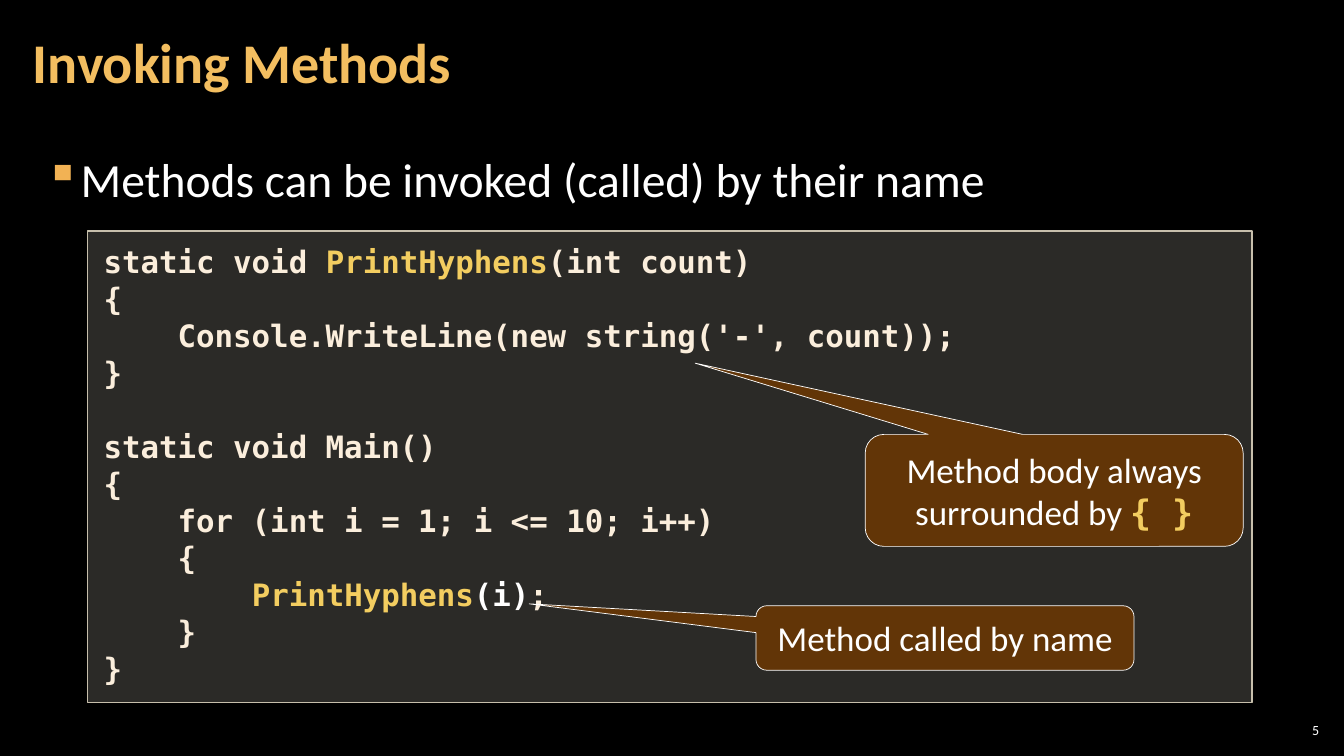
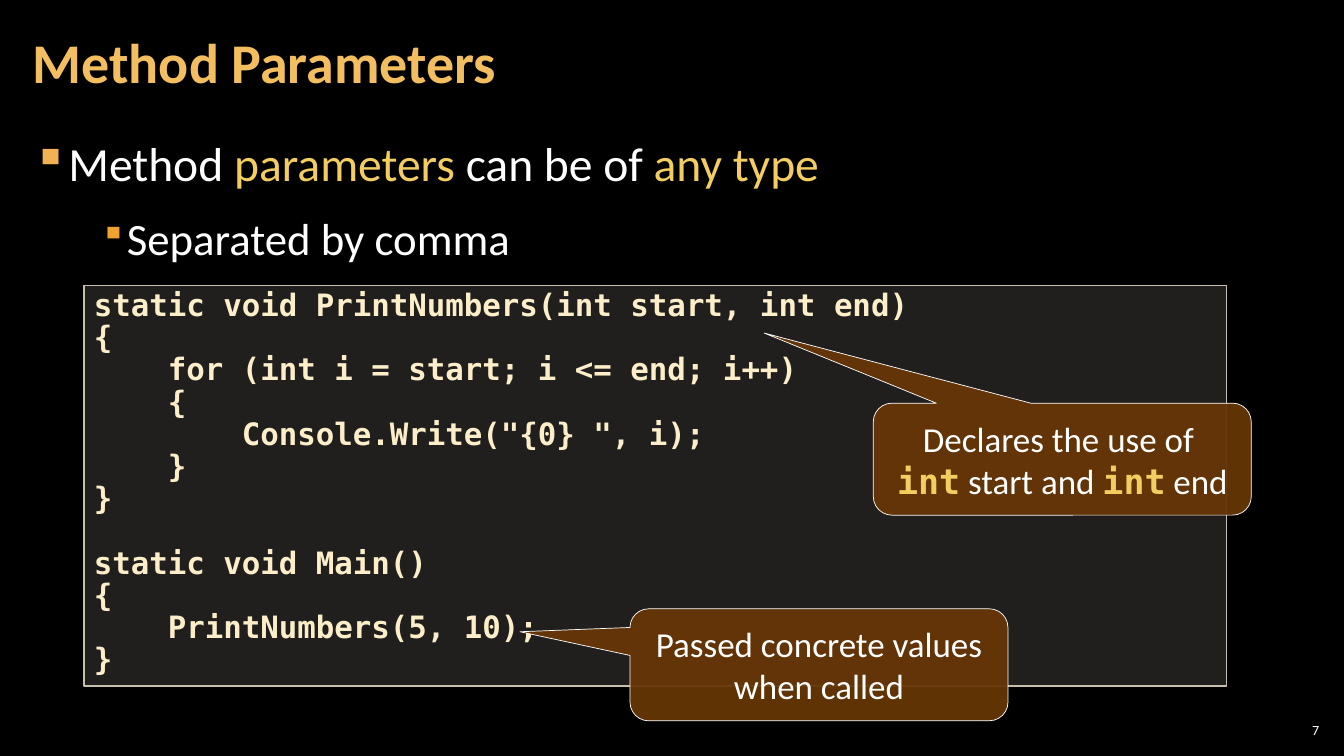
from lxml.etree import SubElement
from pptx import Presentation
from pptx.dml.color import RGBColor
from pptx.enum.shapes import MSO_SHAPE
from pptx.enum.text import MSO_ANCHOR, PP_ALIGN
from pptx.oxml.ns import qn
from pptx.util import Pt

BLACK = RGBColor(0x00, 0x00, 0x00)
WHITE = RGBColor(0xFF, 0xFF, 0xFF)
TITLE_GOLD = RGBColor(0xF3, 0xBE, 0x60)
ACCENT = RGBColor(0xF3, 0xCD, 0x60)
BULLET_GOLD = RGBColor(0xF2, 0xB2, 0x54)
BULLET_ORANGE = RGBColor(0xF0, 0xA2, 0x2E)
PANEL = RGBColor(0xD9, 0xD5, 0xC7)
PANEL_LINE = RGBColor(0xC7, 0xBF, 0xAC)
CODE_CREAM = RGBColor(0xFB, 0xEE, 0xDC)
CODE_YELLOW = RGBColor(0xFB, 0xEE, 0xC9)
BROWN = RGBColor(0x66, 0x36, 0x06)
SANS = "Calibri"
MONO = "DejaVu Sans Mono"

# Bullet levels: indent, hanging, text size, bullet colour, bullet size in %
LEVELS = [(24, 24, 34, BULLET_GOLD, 100), (66, 18, 32, BULLET_ORANGE, 80)]

# A line is a list of pieces; a piece is plain text or (text, colour).
# Callouts: left, top, width, height, tip x, tip y, lines
slides = [
    {
        "number": "5",
        "title": "Invoking Methods",
        "bullets_at": (23.8, 102.2, 900, 60),
        "bullets": [["Methods can be invoked (called) by their name"]],
        "panel_at": (62.6, 165, 831.6, 337),
        "panel_opacity": 20,
        "panel_margins": (11.5, 8.6),
        "code_color": CODE_CREAM,
        "code_spacing": None,
        "code": [
            ["static void ", ("PrintHyphens", ACCENT), "(int count)"],
            ["{"],
            ["    Console.WriteLine(new string('-', count));"],
            ["}"],
            [],
            ["static void Main()"],
            ["{"],
            ["    for (int i = 1; i <= 10; i++)"],
            ["    {"],
            ["        ", ("PrintHyphens", ACCENT), ("(i)", WHITE), ";"],
            ["    }"],
            ["}"],
        ],
        "callouts": [
            (618, 310.3, 270, 80, 496.5, 259.4,
             [["Method body always surrounded by ", ("{ }", ACCENT)]]),
            (540, 432.7, 270, 46, 378, 431.3, [["Method called by name"]]),
        ],
    },
    {
        "number": "7",
        "title": "Method Parameters",
        "bullets_at": (15, 90.7, 930, 110),
        "bullets": [
            ["Method ", ("parameters", ACCENT), " can be of ",
             ("any type", ACCENT)],
            ["Separated by comma"],
        ],
        "panel_at": (60, 204, 816, 286),
        "panel_opacity": 15,
        "panel_margins": (7.2, 3.6),
        "code_color": CODE_YELLOW,
        "code_spacing": Pt(23),
        "code": [
            ["static void PrintNumbers(int start, int end)"],
            ["{"],
            ["    for (int i = start; i <= end; i++)"],
            ["    {"],
            ['        Console.Write("{0} ", i);'],
            ["    }"],
            ["}"],
            [],
            ["static void Main()"],
            ["{"],
            ["    PrintNumbers(5, 10);"],
            ["}"],
        ],
        "callouts": [
            (623.8, 288, 270, 80, 545.8, 237.9,
             [["Declares the use of "],
              [("int", ACCENT), " start and ", ("int", ACCENT), " end"]]),
            (450, 434.9, 270, 80, 371.4, 451.3,
             [["Passed concrete values when called"]]),
        ],
    },
]


def write(frame, lines, size, color, font=SANS, accent_font=SANS, bold=False):
    """Write one paragraph per line; coloured pieces use the accent font."""
    frame.word_wrap = True
    for index, line in enumerate(lines):
        paragraph = frame.paragraphs[0] if index == 0 else frame.add_paragraph()
        paragraph.font.size = Pt(size)
        paragraph.font.name = font
        for piece in line:
            text, tint = (piece, color) if isinstance(piece, str) else piece
            accented = tint != color
            run = paragraph.add_run()
            run.text = text
            run.font.size = Pt(size)
            run.font.name = accent_font if accented else font
            run.font.bold = bold or (accented and accent_font == MONO)
            run.font.color.rgb = tint
    return frame.paragraphs


def style(shape, color, opacity, line_color, line_width, margins):
    """Give a shape its translucent fill, outline and text margins."""
    shape.shadow.inherit = False
    shape.fill.solid()
    shape.fill.fore_color.rgb = color
    tint = shape.fill._xPr.find(qn("a:solidFill"))[0]
    SubElement(tint, qn("a:alpha")).set("val", str(opacity * 1000))
    shape.line.color.rgb = line_color
    shape.line.width = Pt(line_width)
    frame = shape.text_frame
    frame.margin_left = frame.margin_right = Pt(margins[0])
    frame.margin_top = frame.margin_bottom = Pt(margins[1])


prs = Presentation()
prs.slide_width, prs.slide_height = Pt(960), Pt(540)
prs.slide_master.background.fill.solid()
prs.slide_master.background.fill.fore_color.rgb = BLACK

for content in slides:
    slide = prs.slides.add_slide(prs.slide_layouts[5])

    # Title
    title = slide.shapes.title
    title.left, title.top, title.width, title.height = map(Pt, (15, 3, 754, 87))
    frame = title.text_frame
    frame.margin_left = frame.margin_right = Pt(8.5)
    frame.margin_top = frame.margin_bottom = Pt(2.8)
    frame.vertical_anchor = MSO_ANCHOR.MIDDLE
    heading = write(frame, [[content["title"]]], 40, TITLE_GOLD, bold=True)[0]
    heading.alignment = PP_ALIGN.LEFT
    heading.line_spacing = 0.9

    # Slide number
    number = slide.shapes.add_textbox(*map(Pt, (911, 514, 34, 15)))
    frame = number.text_frame
    frame.margin_left = frame.margin_right = Pt(2.8)
    frame.margin_top = frame.margin_bottom = Pt(2.8)
    frame.vertical_anchor = MSO_ANCHOR.MIDDLE
    write(frame, [[content["number"]]], 10, WHITE)[0].alignment = PP_ALIGN.RIGHT

    # Bullets
    bullets = slide.shapes.add_textbox(*map(Pt, content["bullets_at"]))
    frame = bullets.text_frame
    frame.margin_left = frame.margin_right = Pt(8.5)
    frame.margin_top = frame.margin_bottom = Pt(2.8)
    points = write(frame, content["bullets"], 34, WHITE)
    for level, (point, settings) in enumerate(zip(points, LEVELS)):
        indent, hanging, size, bullet_color, bullet_size = settings
        properties = point._p.get_or_add_pPr()
        properties.set("marL", str(Pt(indent)))
        properties.set("indent", str(-Pt(hanging)))
        default_run = properties.find(qn("a:defRPr"))
        properties.remove(default_run)
        tint = SubElement(properties, qn("a:buClr"))
        SubElement(tint, qn("a:srgbClr")).set("val", str(bullet_color))
        scale = SubElement(properties, qn("a:buSzPct"))
        scale.set("val", str(bullet_size * 1000))
        SubElement(properties, qn("a:buChar")).set("char", "▪")
        point.level = level
        point.line_spacing = 1.05
        point.space_after = Pt(6)
        if level:
            point.space_before = Pt(6)
        for run in point.runs:
            run.font.size = Pt(size)

    # Code panel
    panel = slide.shapes.add_shape(
        MSO_SHAPE.RECTANGLE, *map(Pt, content["panel_at"]))
    style(panel, PANEL, content["panel_opacity"], PANEL_LINE, 1,
          content["panel_margins"])
    panel.text_frame.vertical_anchor = MSO_ANCHOR.TOP
    for code_line in write(panel.text_frame, content["code"], 22,
                           content["code_color"], MONO, MONO, bold=True):
        code_line.alignment = PP_ALIGN.LEFT
        code_line.line_spacing = content["code_spacing"]

    # Callouts, each pointing at its tip
    for left, top, width, height, tip_x, tip_y, lines in content["callouts"]:
        callout = slide.shapes.add_shape(
            MSO_SHAPE.ROUNDED_RECTANGULAR_CALLOUT,
            *map(Pt, (left, top, width, height)))
        callout.adjustments[0] = (tip_x - left) / width - 0.5
        callout.adjustments[1] = (tip_y - top) / height - 0.5
        style(callout, BROWN, 95, WHITE, 0.5, (7.2, 5.8))
        callout.text_frame.vertical_anchor = MSO_ANCHOR.MIDDLE
        for remark in write(callout.text_frame, lines, 25, WHITE,
                            accent_font=MONO):
            remark.alignment = PP_ALIGN.CENTER
            remark.line_spacing = Pt(30)

prs.save("out.pptx")
